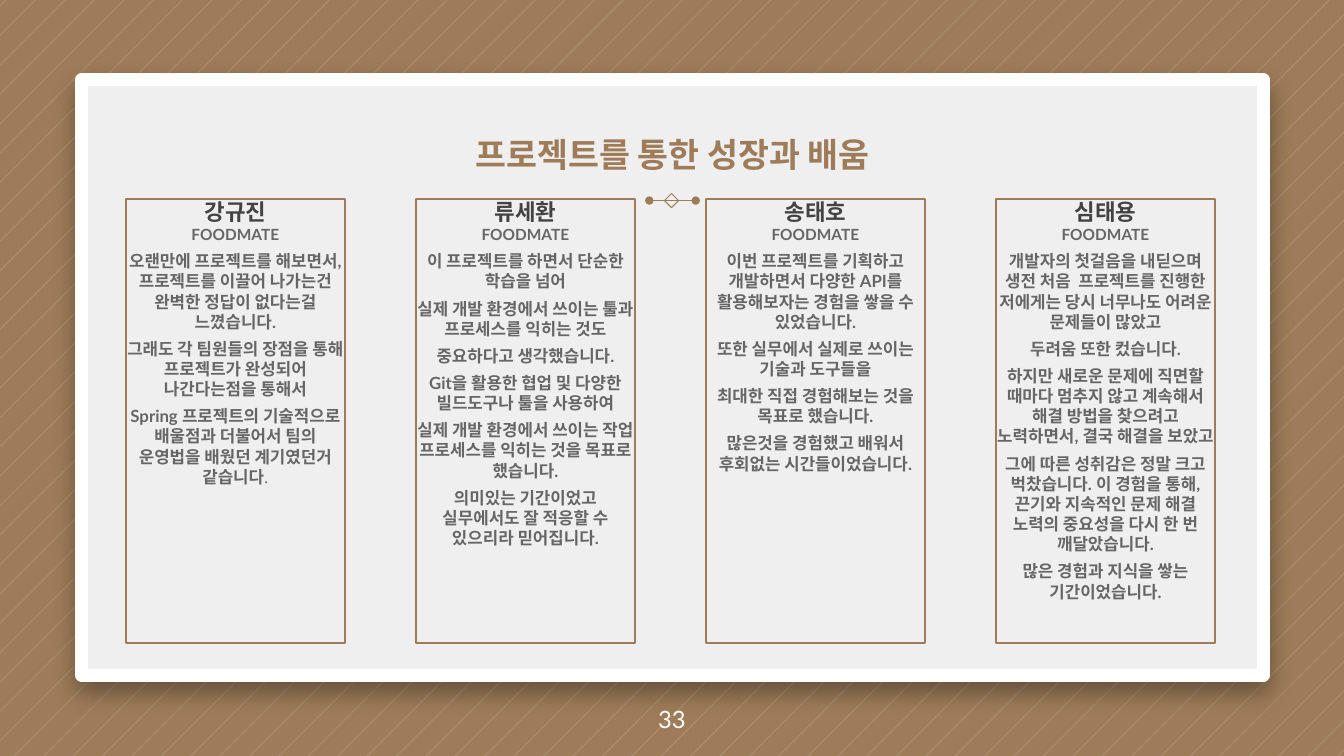
from copy import deepcopy
from lxml.etree import SubElement
from pptx import Presentation
from pptx.dml.color import RGBColor
from pptx.enum.shapes import MSO_CONNECTOR, MSO_SHAPE
from pptx.enum.text import MSO_ANCHOR, PP_ALIGN
from pptx.oxml.ns import qn
from pptx.util import Inches, Pt

# Content: name, then paragraphs; text after "|" is set plain
TITLE = "프로젝트를 통한 성장과 배움"
NUMBER = "33"
TEAM = "FOODMATE"
MEMBERS = [
    ("강규진", [
        "오랜만에 프로젝트를 해보면서, 프로젝트를 이끌어 나가는건 완벽한 정답이 없다는걸 느꼈습니다.",
        "그래도 각 팀원들의 장점을 통해 프로젝트가 완성되어 나간다는점을 통해서",
        "Spring 프로젝트의 기술적으로 배울점과 더불어서 팀의 운영법을 배웠던 계기였던거 같습니다|.",
    ]),
    ("류세환", [
        "이 프로젝트를 하면서 단순한 학습을 넘어",
        "실제 개발 환경에서 쓰이는 툴과 프로세스를 익히는 것도",
        "중요하다고 생각했습니다.",
        "Git을 활용한 협업 및 다양한 빌드도구나 툴을 사용하여",
        "실제 개발 환경에서 쓰이는 작업 프로세스를 익히는 것을 목표로 했습니다.",
        "의미있는 기간이었고 실무에서도 잘 적응할 수 있으리라 믿어집니다.",
    ]),
    ("송태호", [
        "이번 프로젝트를 기획하고 개발하면서 다양한 API를 활용해보자는 경험을 쌓을 수 있었습니다.",
        "또한 실무에서 실제로 쓰이는 기술과 도구들을",
        "최대한 직접 경험해보는 것을 목표로 했습니다.",
        "많은것을 경험했고 배워서 후회없는 시간들이었습니다.",
    ]),
    ("심태용", [
        "개발자의 첫걸음을 내딛으며 생전 처음  프로젝트를 진행한 저에게는 당시 너무나도 어려운 문제들이 많았고",
        "두려움 또한 컸습니다.",
        "하지만 새로운 문제에 직면할 때마다 멈추지 않고 계속해서 해결 방법을 찾으려고 노력하면서, 결국 해결을 보았고",
        "그에 따른 성취감은 정말 크고 벅찼습니다. 이 경험을 통해, 끈기와 지속적인 문제 해결 노력의 중요성을 다시 한 번 깨달았습니다.",
        "많은 경험과 지식을 쌓는 기간이었습니다.",
    ]),
]

# Look and grid, in inches
BROWN, PAPER, WHITE, DARK, GREY = "9E7C59", "EFEFEF", "FFFFFF", "434343", "666666"
SANS, SERIF = "Lato", "Times New Roman"
WIDE, HIGH = 13.33, 7.5
FIRST, LAST, TOP, BOX_W, BOX_H = 1.25, 9.88, 1.97, 2.17, 4.41
PITCH = (LAST - FIRST) / (len(MEMBERS) - 1)
STEP, BAND, START = 3.5 / 12, 0.02, 0.05

deck = Presentation()
deck.slide_width, deck.slide_height = Inches(WIDE), Inches(HIGH)
slide = deck.slides.add_slide(deck.slide_layouts[6])
shapes = slide.shapes


def color(code):
    return RGBColor.from_string(code)


def write(para, text, size=12, font=SANS, ink=GREY, bold=True):
    run = para.add_run()
    run.text = text
    run.font.size, run.font.name, run.font.bold = Pt(size), font, bold
    run.font.color.rgb = color(ink)
    para.alignment = PP_ALIGN.CENTER
    return run


def prep(frame, pad, anchor):
    frame.word_wrap = True
    frame.vertical_anchor = anchor
    frame.margin_left = frame.margin_right = Inches(pad)
    frame.margin_top = frame.margin_bottom = Inches(pad)


def label(text, area, **look):
    frame = shapes.add_textbox(*map(Inches, area)).text_frame
    prep(frame, 0.13, MSO_ANCHOR.MIDDLE)
    write(frame.paragraphs[0], text, **look)


def draw(kind, area, line, width, fill=None):
    part = shapes.add_shape(kind, *map(Inches, area))
    part.shadow.inherit = False
    if fill:
        part.fill.solid()
        part.fill.fore_color.rgb = color(fill)
    else:
        part.fill.background()
    part.line.color.rgb = color(line)
    part.line.width = Pt(width)
    return part


# Background with diagonal stripes, each clipped to the slide
slide.background.fill.solid()
slide.background.fill.fore_color.rgb = color(BROWN)


def ends(total):
    x, y = min(total, WIDE), min(total, HIGH)
    return (Inches(x), Inches(total - x)), (Inches(total - y), Inches(y))


pen = None
for i in range(int((WIDE + HIGH - START) / STEP) + 1):
    near = START + i * STEP
    top, foot = ends(near)
    top2, foot2 = ends(min(near + BAND, WIDE + HIGH))
    if pen is None:
        pen = shapes.build_freeform(*top)
    else:
        pen.move_to(*top)
    pen.add_line_segments([foot, foot2, top2], close=True)
stripes = pen.convert_to_shape()
stripes.shadow.inherit = False
stripes.line.fill.background()
stripes.fill.solid()
stripes.fill.fore_color.rgb = color(WHITE)
tint = stripes._element.spPr.find(".//" + qn("a:srgbClr"))
SubElement(tint, qn("a:alpha"), val="10000")

# Paper card with a soft shadow
card = draw(MSO_SHAPE.RECTANGLE, (0.81, 0.79, 11.72, 5.91), WHITE, 9, PAPER)
glow = SubElement(card._element.spPr.find(qn("a:effectLst")), qn("a:outerShdw"),
                  blurRad=str(Pt(16.9)), dist=str(Pt(7.5)), dir="5400000",
                  algn="bl", rotWithShape="0")
shade = SubElement(glow, qn("a:srgbClr"), val="000000")
SubElement(shade, qn("a:alpha"), val="35000")

# Ornament under the title
rule = shapes.add_connector(MSO_CONNECTOR.STRAIGHT, *map(Inches, (6.44, 1.99, 6.9, 1.99)))
rule.line.color.rgb = color(BROWN)
rule.line.width = Pt(0.75)
for tip in ("a:headEnd", "a:tailEnd"):
    SubElement(rule.line._get_or_add_ln(), qn(tip), type="oval")
SubElement(rule._element.spPr, qn("a:effectLst"))
draw(MSO_SHAPE.DIAMOND, (6.59, 1.92, 0.14, 0.14), BROWN, 0.75)

# Title and slide number
label(TITLE, (1.32, 1.08, 10.7, 0.89), size=24, ink=BROWN)
label(NUMBER, (0, 6.77, WIDE, 0.73), size=17, ink=WHITE, bold=False)

# One column per member
for i, (name, notes) in enumerate(MEMBERS):
    box = draw(MSO_SHAPE.RECTANGLE, (FIRST + i * PITCH, TOP, BOX_W, BOX_H), BROWN, 1.5)
    frame = box.text_frame
    prep(frame, 0, MSO_ANCHOR.TOP)
    head = frame.paragraphs[0]
    run = write(head, name, size=16, font=SERIF, ink=DARK)
    head.add_line_break()
    head._p[-1].append(deepcopy(run._r.rPr))
    write(head, TEAM, size=11)
    for note in notes:
        para = frame.add_paragraph()
        para.space_before = Pt(5)
        body, _, rest = note.partition("|")
        write(para, body)
        if rest:
            write(para, rest, font=SERIF, bold=False)

deck.save("out.pptx")
